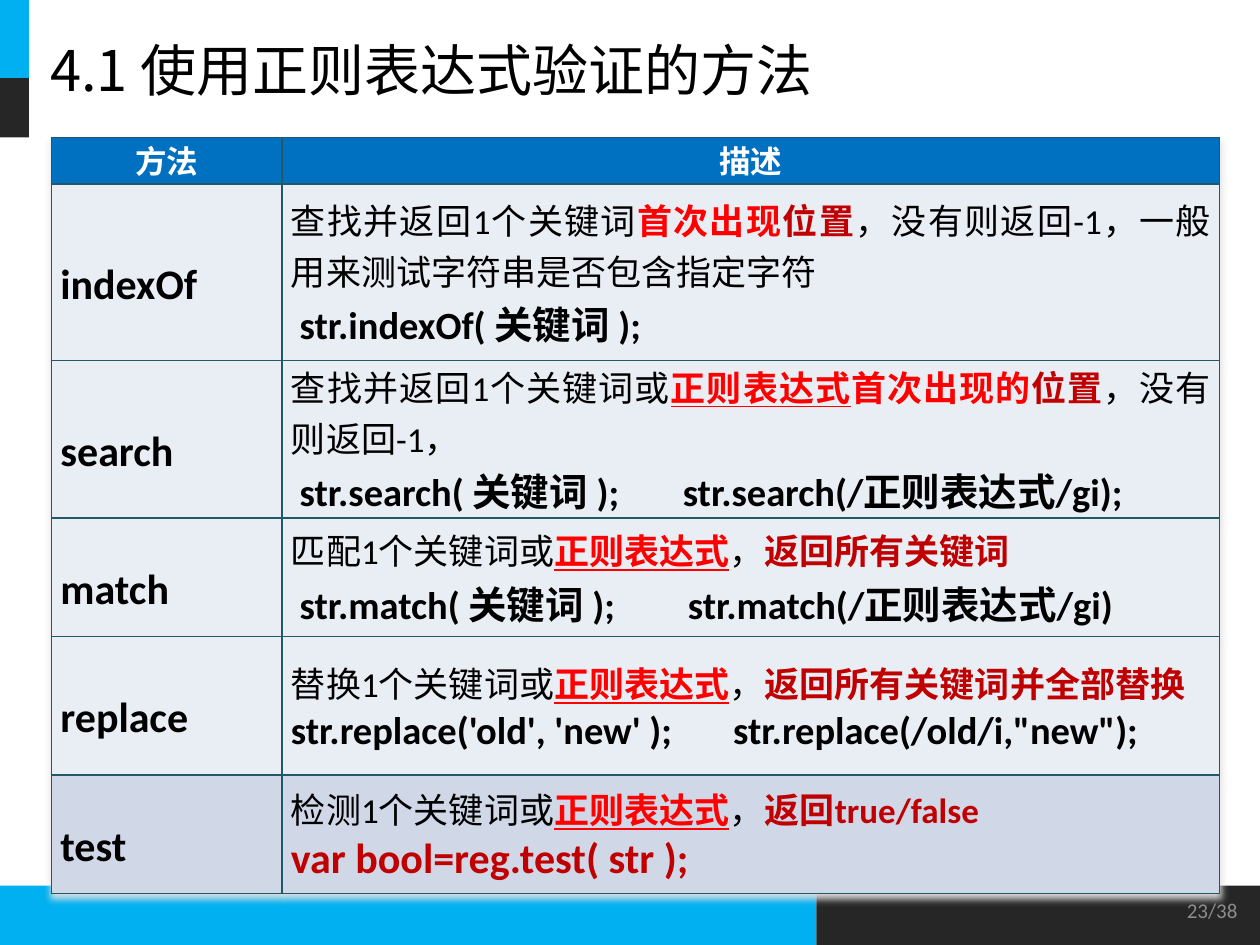
from lxml import etree
from pptx import Presentation
from pptx.dml.color import RGBColor
from pptx.enum import shapes, text
from pptx.oxml import ns
from pptx.util import Inches, Pt

CYAN = RGBColor(0x00, 0xB0, 0xF0)
DARK = RGBColor(0x26, 0x26, 0x26)
BLUE = RGBColor(0x00, 0x70, 0xC0)
PALE = RGBColor(0xE9, 0xED, 0xF4)
PALE_BLUE = RGBColor(0xD0, 0xD8, 0xE8)
TEAL = RGBColor(0x21, 0x59, 0x68)
GRAY = RGBColor(0x8C, 0x8C, 0x8C)
LIGHT_GRAY = RGBColor(0xE0, 0xE0, 0xE0)
BLACK = RGBColor(0, 0, 0)
WHITE = RGBColor(0xFF, 0xFF, 0xFF)
RED = RGBColor(0xFF, 0, 0)
CRIMSON = RGBColor(0xC0, 0, 0)
CJK = "Noto Sans CJK SC"


def add_run(p, words, size, color=BLACK, bold=False, underline=False, font="Calibri"):
    r = p.add_run()
    r.text = words
    r.font.size = Pt(size)
    r.font.color.rgb = color
    r.font.bold = bold
    r.font.underline = underline
    r.font.name = font
    etree.SubElement(r.font._element, ns.qn("a:ea"), typeface=CJK)


def style_cell(cell, fill):
    """Set the fill, margins and thin teal borders of a table cell."""
    cell.margin_left = cell.margin_right = Inches(0.07)
    cell.margin_top = cell.margin_bottom = 0
    tc_pr = cell._tc.get_or_add_tcPr()
    for side in ("lnL", "lnR", "lnT", "lnB"):
        ln = etree.SubElement(tc_pr, ns.qn("a:" + side), w=str(Pt(1)))
        line_fill = etree.SubElement(ln, ns.qn("a:solidFill"))
        etree.SubElement(line_fill, ns.qn("a:srgbClr"), val=str(TEAL))
    cell.fill.solid()
    cell.fill.fore_color.rgb = fill


prs = Presentation()
prs.slide_width, prs.slide_height = Inches(10), Inches(7.5)
s = prs.slides.add_slide(prs.slide_layouts[6])

# Corner and footer bars
for x, y, w, h, color in [
    (0, 7.03, 6.48, 0.47, CYAN),
    (6.48, 7.03, 3.52, 0.47, DARK),
    (0, 0, 0.23, 0.62, CYAN),
    (0, 0.62, 0.23, 0.47, DARK),
]:
    sp = s.shapes.add_shape(shapes.MSO_SHAPE.RECTANGLE, Inches(x), Inches(y), Inches(w), Inches(h))
    sp.shadow.inherit = False
    sp.fill.solid()
    sp.fill.fore_color.rgb = color
    sp.line.fill.background()

# Title and page number
for x, y, w, h, words, size, color, font, align in [
    (0.3, 0, 9.39, 1.09, "4.1 使用正则表达式验证的方法", 32, BLACK, CJK, text.PP_ALIGN.LEFT),
    (7.59, 7.02, 2.33, 0.4, "23/38", 12, GRAY, "Calibri", text.PP_ALIGN.RIGHT),
]:
    tf = s.shapes.add_textbox(Inches(x), Inches(y), Inches(w), Inches(h)).text_frame
    tf.word_wrap = True
    tf.vertical_anchor = text.MSO_ANCHOR.MIDDLE
    p = tf.paragraphs[0]
    p.alignment = align
    add_run(p, words, size, color, font=font)

# Each method: row height, fill, description runs, code runs, tab stop in the code line
regex = ("正则表达式", 20, RED, True, True)
comma = ("，", 20)
methods = [
    ("indexOf", 1.4, PALE,
     [("查找并返回1个关键词", 20), ("首次出现", 20, RED, True), ("位置", 20, CRIMSON, True),
      ("，没有则返回-1，一般用来测试字符串是否包含指定字符", 20)],
     [(" ", 22), ("str.indexOf( 关键词 );", 22, BLACK, True)], None),
    ("search", 1.25, PALE,
     [("查找并返回1个关键词或", 20), regex, ("首次出现的", 20, RED, True),
      ("位置", 20, CRIMSON, True), ("，没有则返回-1，", 20)],
     [(" ", 22), ("str.search( 关键词 );\tstr.search(/正则表达式/gi);", 22, BLACK, True)], 3.11),
    ("match", 0.94, PALE,
     [("匹配1个关键词或", 20), regex, comma, ("返回所有关键词", 20, CRIMSON, True)],
     [(" ", 22), ("str.match( 关键词 );\tstr.match(/正则表达式/gi)", 22, BLACK, True)], 3.15),
    ("replace", 1.1, PALE,
     [("替换1个关键词或", 20), regex, comma, ("返回所有关键词并全部替换", 20, CRIMSON, True)],
     [("str.replace('old', 'new' );\tstr.replace(/old/i,\"new\");", 22, BLACK, True)], 3.51),
    ("test", 0.94, PALE_BLUE,
     [("检测1个关键词或", 20), regex, comma, ("返回true/false", 20, CRIMSON, True)],
     [("var bool=reg.test( str );", 24, CRIMSON, True)], None),
]

table = s.shapes.add_table(len(methods) + 1, 2, Inches(0.41), Inches(1.09),
                           Inches(9.27), Inches(6)).table
table.columns[0].width, table.columns[1].width = Inches(1.83), Inches(7.44)
table.horz_banding = False

# Soft shadow below the table
effects = etree.Element(ns.qn("a:effectLst"))
shadow = etree.SubElement(effects, ns.qn("a:outerShdw"), blurRad=str(Pt(4)),
                          dist=str(Pt(3)), dir="5400000")
etree.SubElement(shadow, ns.qn("a:srgbClr"), val=str(LIGHT_GRAY))
table._tbl.tblPr.insert(0, effects)

table.rows[0].height = Inches(0.37)
for cell, heading in zip(table.rows[0].cells, ("方法", "描述")):
    style_cell(cell, BLUE)
    p = cell.text_frame.paragraphs[0]
    p.alignment = text.PP_ALIGN.CENTER
    add_run(p, heading, 18, WHITE, True)

for i, (name, height, fill, description, code, tab) in enumerate(methods, 1):
    table.rows[i].height = Inches(height)
    name_cell, text_cell = table.rows[i].cells
    for cell in (name_cell, text_cell):
        style_cell(cell, fill)
        cell.vertical_anchor = text.MSO_ANCHOR.MIDDLE

    p = name_cell.text_frame.paragraphs[0]
    p.alignment = text.PP_ALIGN.JUSTIFY
    p.line_spacing = 1.5
    add_run(p, name, 24, bold=True)

    tf = text_cell.text_frame
    for p, runs in ((tf.paragraphs[0], description), (tf.add_paragraph(), code)):
        p.alignment = text.PP_ALIGN.JUSTIFY
        for run in runs:
            add_run(p, *run)
    if tab:
        tabs = etree.SubElement(p._p.get_or_add_pPr(), ns.qn("a:tabLst"))
        etree.SubElement(tabs, ns.qn("a:tab"), pos=str(Inches(tab)), algn="l")

prs.save("out.pptx")
